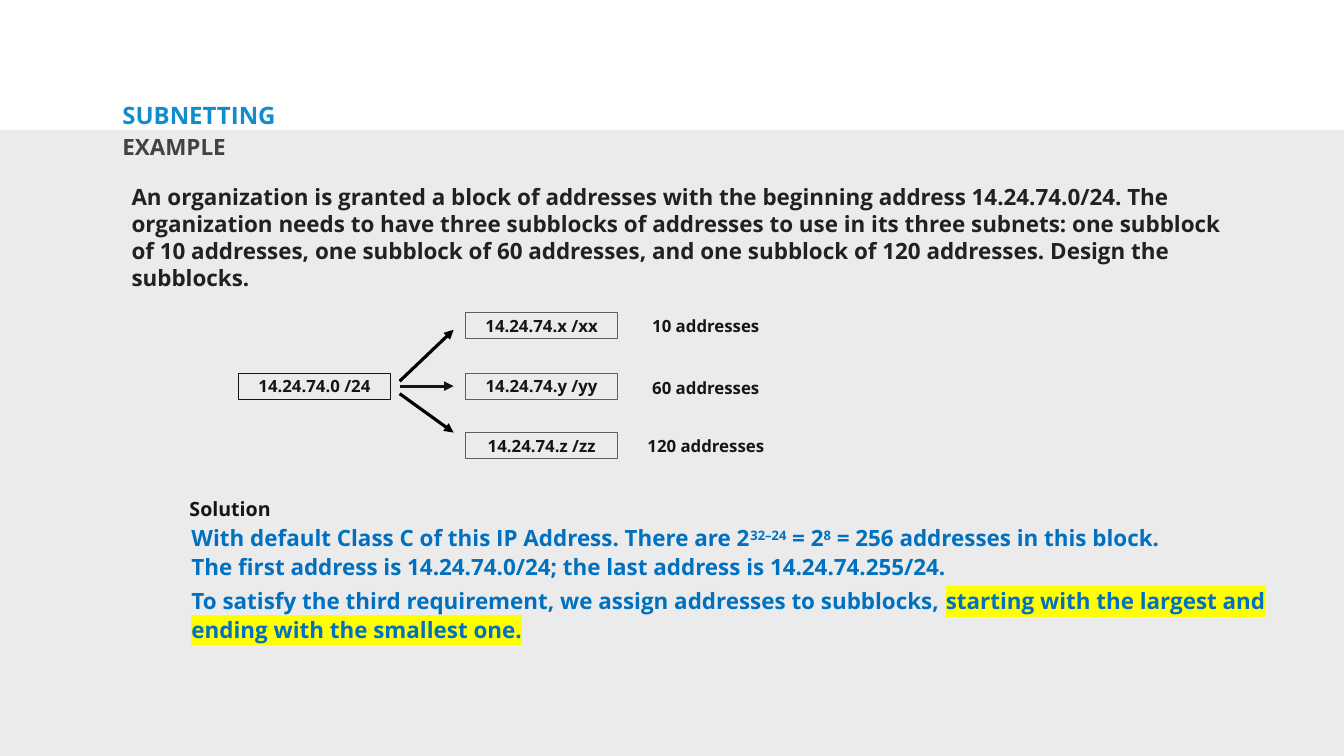
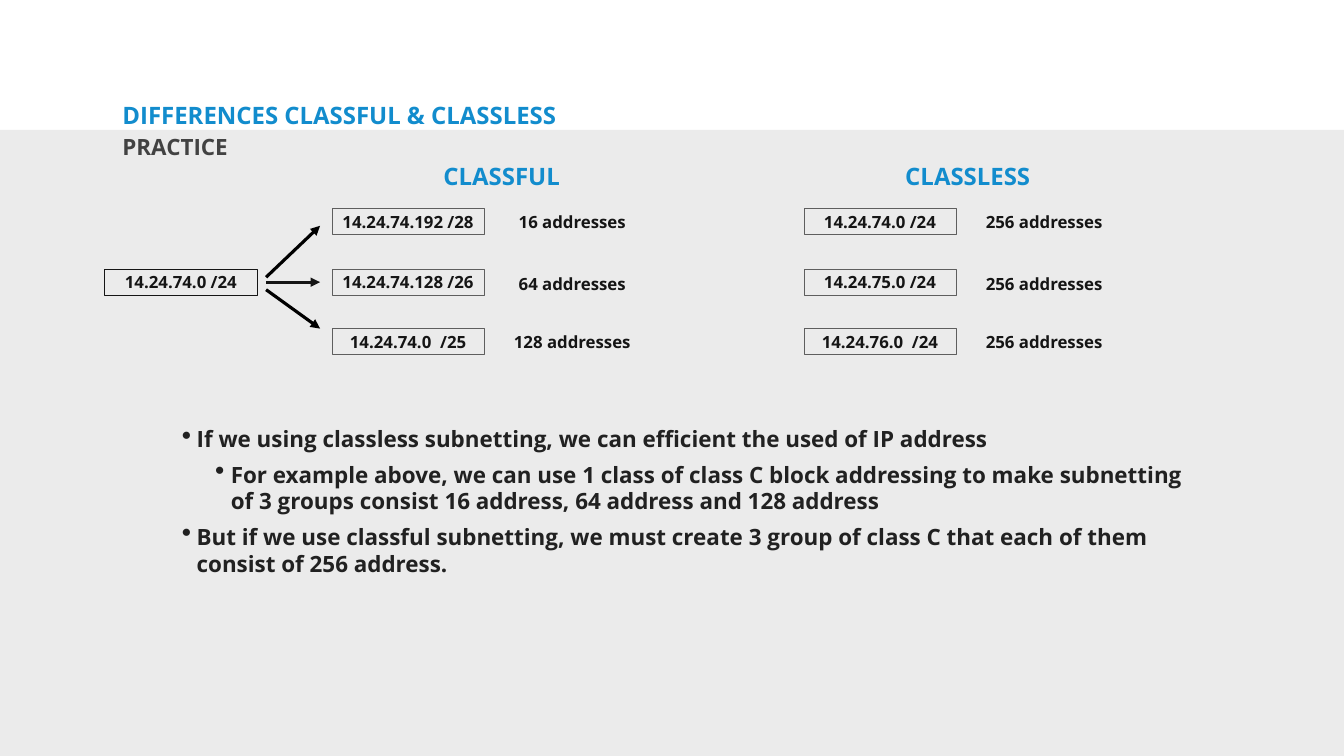
from lxml import etree
from pptx import Presentation
from pptx.dml.color import RGBColor
from pptx.enum.shapes import MSO_CONNECTOR, MSO_SHAPE
from pptx.enum.text import MSO_ANCHOR, MSO_AUTO_SIZE, PP_ALIGN
from pptx.oxml.ns import qn
from pptx.util import Cm, Pt

RECTANGLE, STRAIGHT = MSO_SHAPE.RECTANGLE, MSO_CONNECTOR.STRAIGHT
TOP, MIDDLE = MSO_ANCHOR.TOP, MSO_ANCHOR.MIDDLE
LEFT, CENTER = PP_ALIGN.LEFT, PP_ALIGN.CENTER
NO_AUTOFIT = MSO_AUTO_SIZE.NONE

BLUE, BAND_GRAY, SUBTITLE_GRAY = "128CCD", "EBEBEB", "424242"
BODY, INK, BOX_LINE, SOLUTION_BLUE = "212121", "151515", "5E5E5E", "0070C0"
BOX_WIDTH, BOX_HEIGHT, LABEL_WIDTH = 7.67, 1.32, 6.96
BRANCH_OFFSET, LABEL_OFFSET = 11.45, 8.63
ROWS = [-3.05, 0, 3]
LABEL_SHIFTS = [0, 0.1, 0.03]
ARROWS = [(0.41, -2.18, "000000"), (0.66, 0.66, INK), (1.04, 3, "000000")]


def format_text(shape, size, color, anchor=TOP, align=LEFT, spacing=1.0):
    frame = shape.text_frame
    frame.word_wrap = True
    frame.auto_size = NO_AUTOFIT
    frame.vertical_anchor = anchor
    frame.margin_left = frame.margin_right = Cm(0.15)
    frame.margin_top = frame.margin_bottom = Cm(0.15)
    for paragraph in frame.paragraphs:
        paragraph.alignment = align
        paragraph.line_spacing = spacing
        paragraph.font.name = "Open Sans"
        paragraph.font.size = Pt(size)
        paragraph.font.bold = True
        paragraph.font.color.rgb = RGBColor.from_string(color)


def add_text(slide, text, place, size, color, outline=None, weight=0.75, **layout):
    """Add a text box, or an outlined rectangle when an outline colour is given."""
    place = [Cm(length) for length in place]
    if outline:
        shape = slide.shapes.add_shape(RECTANGLE, *place)
        shape.shadow.inherit = False
        shape.fill.background()
        shape.line.color.rgb = RGBColor.from_string(outline)
        shape.line.width = Pt(weight)
    else:
        shape = slide.shapes.add_textbox(*place)
    shape.text_frame.text = text
    format_text(shape, size, color, **layout)
    return shape


prs = Presentation()
prs.slide_width, prs.slide_height = Cm(67.73), Cm(38.1)
title_only = prs.slide_layouts[5]

slides = []
for heading, subtitle in [("SUBNETTING", "EXAMPLE"),
                          ("DIFFERENCES CLASSFUL & CLASSLESS", "PRACTICE")]:
    slide = prs.slides.add_slide(title_only)
    title = slide.shapes.title
    title.left, title.top, title.width, title.height = Cm(6.02), Cm(5.21), Cm(40.87), Cm(1.42)
    title.text_frame.text = heading
    format_text(title, 34.2, BLUE, spacing=0.8)
    add_text(slide, subtitle, (6.02, 6.73, 27.13, 2.24), 32, SUBTITLE_GRAY, spacing=0.9)
    slides.append(slide)
example, practice = slides

# The gray band belongs to the layout, behind everything on the slides
band = example.shapes.add_shape(RECTANGLE, 0, Cm(6.55), prs.slide_width, Cm(31.55))
band.shadow.inherit = False
band.fill.solid()
band.fill.fore_color.rgb = RGBColor.from_string(BAND_GRAY)
band.line.fill.background()
title_only.shapes._spTree.insert(2, band._element)

# Address blocks: slide, left of the branches, middle row, has a root, rows
diagrams = [
    (example, 23.46, 18.8, True,
     [("14.24.74.x /xx", "10 addresses"), ("14.24.74.y /yy", "60 addresses"),
      ("14.24.74.z /zz", "120 addresses")]),
    (practice, 16.73, 13.56, True,
     [("14.24.74.192 /28", "16 addresses"), ("14.24.74.128 /26", "64 addresses"),
      ("14.24.74.0  /25", "128 addresses")]),
    (practice, 40.51, 13.56, False,
     [("14.24.74.0 /24", "256 addresses"), ("14.24.75.0 /24", "256 addresses"),
      ("14.24.76.0  /24", "256 addresses")]),
]
for slide, left, middle, has_root, blocks in diagrams:
    for (block, count), row, shift in zip(blocks, ROWS, LABEL_SHIFTS):
        top = middle + row
        add_text(slide, block, (left, top, BOX_WIDTH, BOX_HEIGHT), 24, INK,
                 outline=BOX_LINE, anchor=MIDDLE, align=CENTER)
        add_text(slide, count, (left + LABEL_OFFSET, top + shift, LABEL_WIDTH, BOX_HEIGHT),
                 24, INK, anchor=MIDDLE, align=CENTER)
    if not has_root:
        continue
    root_left = left - BRANCH_OFFSET
    add_text(slide, "14.24.74.0 /24", (root_left, middle, BOX_WIDTH, BOX_HEIGHT), 24, INK,
             outline=INK, weight=1, anchor=MIDDLE, align=CENTER)
    for start, end, color in ARROWS:
        arrow = slide.shapes.add_connector(
            STRAIGHT, Cm(root_left + 8.13), Cm(middle + start),
            Cm(root_left + 10.85), Cm(middle + end))
        arrow.line.color.rgb = RGBColor.from_string(color)
        arrow.line.width = Pt(4.5)
        etree.SubElement(arrow.line._get_or_add_ln(), qn("a:tailEnd"), type="triangle")
        etree.SubElement(arrow._element.spPr, qn("a:effectLst"))

# Slide 1: task and solution
add_text(example,
         "An organization is granted a block of addresses with the beginning address "
         "14.24.74.0/24. The organization needs to have three subblocks of addresses to use "
         "in its three subnets: one subblock of 10 addresses, one subblock of 60 addresses, "
         "and one subblock of 120 addresses. Design the subblocks.",
         (6.48, 9.09, 55.37, 5.61), 32, BODY)
add_text(example, "Solution", (9.4, 24.92, 5.77, 1.47), 28, INK, anchor=MIDDLE)
solution = add_text(example, "", (9.5, 26.19, 55.17, 6.32), 32, SOLUTION_BLUE)
block_size = solution.text_frame.paragraphs[0]
for text, raised in [("With default Class C of this IP Address. There are 2", False),
                     ("32–24", True), (" = 2", False), ("8", True),
                     (" = 256 addresses in this block.", False)]:
    run = block_size.add_run()
    run.text = text
    if raised:
        run.font._element.set("baseline", "30000")
block_size.add_line_break()
block_size.add_run().text = (
    "The first address is 14.24.74.0/24; the last address is 14.24.74.255/24.")
assignment = solution.text_frame.add_paragraph()
assignment.add_run().text = "To satisfy the third requirement, we assign addresses to subblocks, "
order = assignment.add_run()
order.text = "starting with the largest and ending with the smallest one."
highlight = etree.SubElement(order.font._element, qn("a:highlight"))
etree.SubElement(highlight, qn("a:srgbClr"), val="FFFF00")
format_text(solution, 32, SOLUTION_BLUE, spacing=1.07)
for paragraph in solution.text_frame.paragraphs:
    paragraph.space_after = Pt(8)

# Slide 2: column headings and conclusions
for heading, left in [("CLASSFUL", 22.2), ("CLASSLESS", 45.47)]:
    add_text(practice, heading, (left, 8.48, 10.5, 1.32), 34.2, BLUE, spacing=0.6)

conclusions = add_text(
    practice,
    "If we using classless subnetting, we can efficient the used of IP address\n"
    "For example above, we can use 1 class of class C block addressing to make subnetting "
    "of 3 groups consist 16 address, 64 address and 128 address\n"
    "But if we use classful subnetting, we must create 3 group of class C that each of them "
    "consist of 256 address.",
    (9.02, 21.29, 51.94, 7.9), 32, BODY)
for paragraph, level, indent, hanging, before in zip(
        conclusions.text_frame.paragraphs, [0, 1, 0], [0.74, 2.46, 0.74],
        [0.74, 0.79, 0.74], [0, 12, 12]):
    paragraph.level = level
    paragraph.space_before = Pt(before)
    properties = paragraph._p.get_or_add_pPr()
    properties.set("marL", str(Cm(indent)))
    properties.set("indent", str(-Cm(hanging)))
    defaults = properties.find(qn("a:defRPr"))
    for tag, name, value in [("a:buSzPct", "val", "123000"), ("a:buChar", "char", "•")]:
        bullet = etree.Element(qn(tag))
        bullet.set(name, value)
        defaults.addprevious(bullet)

prs.save("out.pptx")
